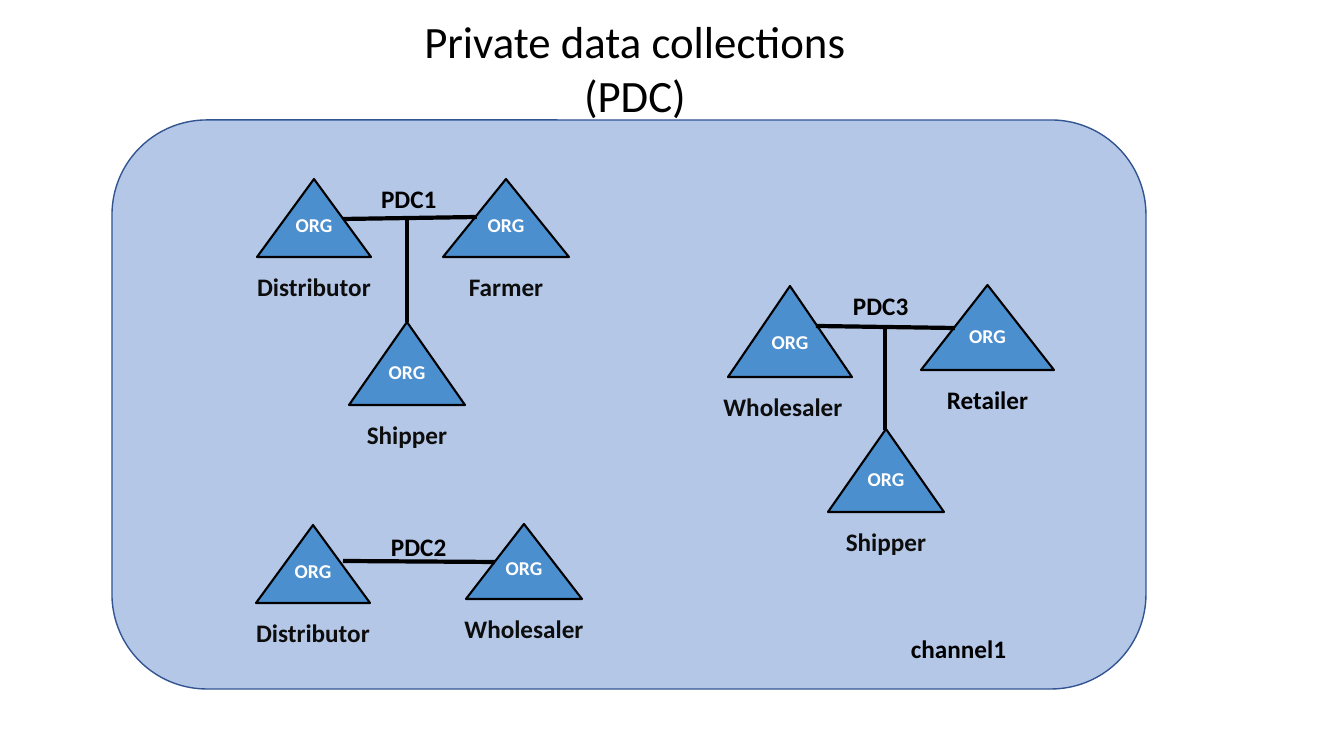
from lxml.etree import SubElement
from pptx import Presentation
from pptx.dml.color import RGBColor
from pptx.enum.shapes import MSO_CONNECTOR, MSO_SHAPE
from pptx.enum.text import MSO_ANCHOR, MSO_AUTO_SIZE, PP_ALIGN
from pptx.oxml.ns import qn
from pptx.util import Inches, Pt

SCALE = Inches(1) / 100.8
BLACK = RGBColor(0, 0, 0)
WHITE = RGBColor(255, 255, 255)
INK = RGBColor(0x0D, 0x0D, 0x0D)
PALE = RGBColor(0xB4, 0xC7, 0xE7)
EDGE = RGBColor(0x32, 0x54, 0x91)
BLUE = RGBColor(0x4C, 0x8F, 0xCF)


def px(*vals):
    """Turn pixel lengths into EMU."""
    return [round(v * SCALE) for v in vals]


def write(shape, text, size=18, color=BLACK, bold=True, align=PP_ALIGN.CENTER,
          anchor=MSO_ANCHOR.TOP, pads=(10, 5, 10, 5), wrap=True):
    """Fill a shape with text, one paragraph per line."""
    frame = shape.text_frame
    frame.text = text
    frame.auto_size = MSO_AUTO_SIZE.NONE
    frame.word_wrap = wrap
    frame.vertical_anchor = anchor
    (frame.margin_left, frame.margin_top,
     frame.margin_right, frame.margin_bottom) = px(*pads)
    for para in frame.paragraphs:
        para.alignment = align
        para.line_spacing = 1.0
        font = para.runs[0].font
        font.name, font.size, font.bold = "Calibri", Pt(size), bold
        font.color.rgb = color


deck = Presentation()
deck.slide_width, deck.slide_height = px(1344, 756)
slide = deck.slides.add_slide(deck.slide_layouts[5])
shapes = slide.shapes

# Title
title = shapes.title
title.left, title.top, title.width, title.height = px(187, 9, 896, 119)
write(title, "Private data collections\n(PDC)", size=32, bold=False)

# Channel
panel = shapes.add_shape(MSO_SHAPE.ROUNDED_RECTANGLE, *px(112, 120, 1034, 569))
panel.shadow.inherit = False
panel.fill.solid()
panel.fill.fore_color.rgb = PALE
panel.line.color.rgb = EDGE
panel.line.width = Pt(1)

# Organisations: name, triangle box, label shift, label colour
orgs = [
    ("Farmer", 443, 179, 126, 78, 0, INK),
    ("Shipper", 349, 322, 116, 83, 0, INK),
    ("Distributor", 257, 179, 114, 78, 0, INK),
    ("Distributor", 256, 525, 114, 78, 0, INK),
    ("Wholesaler", 466, 524, 116, 75, 0, INK),
    ("Wholesaler", 728, 286, 124, 91, -7, INK),
    ("Retailer", 921, 285, 133, 85, 0, BLACK),
    ("Shipper", 828, 429, 116, 83, 0, INK),
]
for name, left, top, wide, high, shift, color in orgs:
    org = shapes.add_shape(MSO_SHAPE.ISOSCELES_TRIANGLE,
                           *px(left, top, wide, high))
    org.shadow.inherit = False
    org.fill.solid()
    org.fill.fore_color.rgb = BLUE
    org.line.color.rgb = BLACK
    org.line.width = Pt(1.5)
    write(org, "ORG", size=14, color=WHITE, anchor=MSO_ANCHOR.MIDDLE,
          pads=(5, 5, 5, 31), wrap=False)
    mid = left + wide / 2 + shift
    label = shapes.add_textbox(*px(mid - 75, top + high + 9, 150, 40))
    write(label, name, color=color)

# Names of the collections and the channel
tags = [("PDC1", 371, 178, 78), ("PDC2", 381, 526, 85),
        ("PDC3", 843, 285, 85), ("channel1", 901, 628, 130)]
for name, left, top, wide in tags:
    tag = shapes.add_textbox(*px(left, top, wide, 40))
    write(tag, name, align=PP_ALIGN.LEFT)

# Links
links = [(407, 217, 407, 322), (477, 217, 343, 219), (495, 562, 343, 561),
         (955, 328, 816, 326), (885, 326, 885, 430)]
for ends in links:
    link = shapes.add_connector(MSO_CONNECTOR.STRAIGHT, *px(*ends))
    link.line.color.rgb = BLACK
    link.line.width = Pt(3)
    SubElement(link._element.spPr, qn("a:effectLst"))

deck.save("out.pptx")
